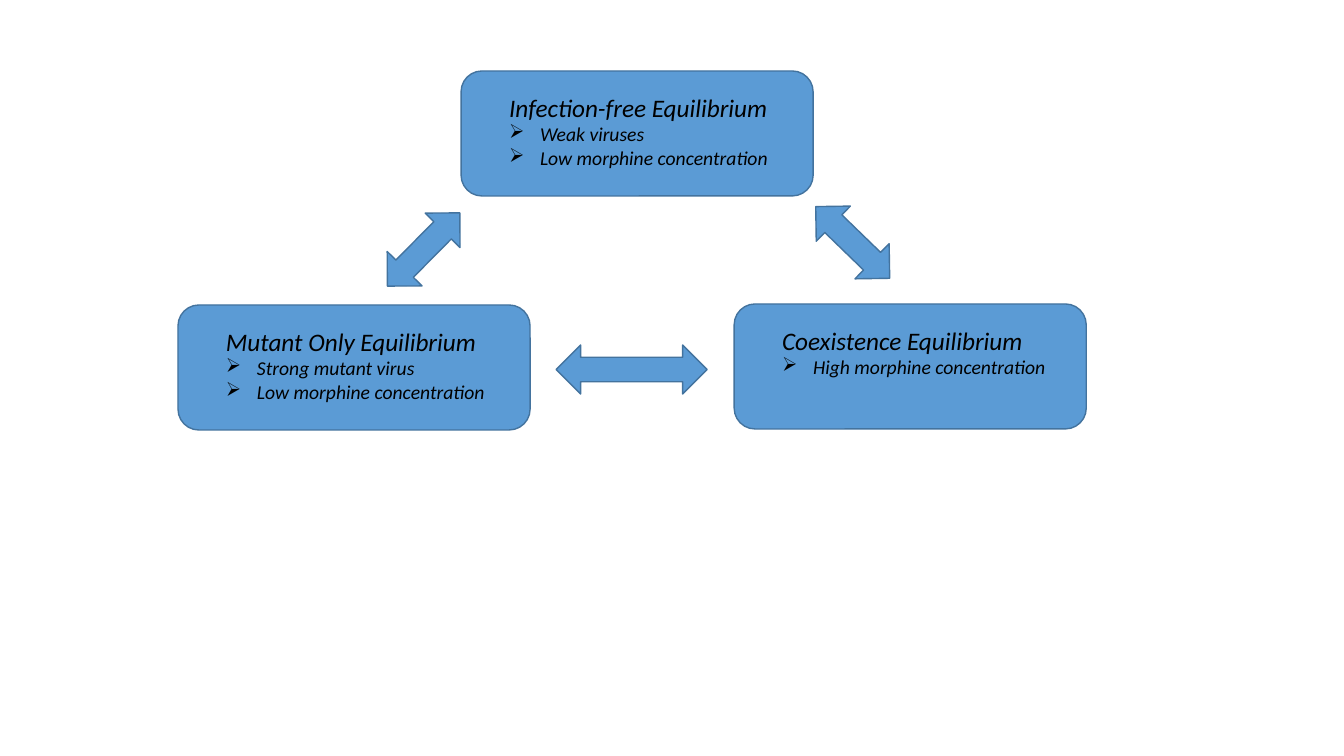
from pptx import Presentation, util as u
from pptx.dml.color import RGBColor
from pptx.enum import shapes, text
from pptx.oxml.ns import qn
from lxml import etree

EQUILIBRIA = [
    ("Infection-free Equilibrium", ["Weak viruses", "Low morphine concentration"], 461, 71),
    ("Mutant Only Equilibrium", ["Strong mutant virus", "Low morphine concentration"], 178, 305),
    ("Coexistence Equilibrium", ["High morphine concentration"], 734, 304),
]
TRANSITIONS = [(556, 345, 151, 0), (801, 218, 103, 44.1), (372, 225, 103, 314.7)]
BOX_W, BOX_H, ARROW_H = 352, 125, 49
LABEL_DX, LABEL_DY, LABEL_W = 38, 16, 305
LABEL_BASE_H, CONDITION_H, INDENT = 41, 24, 31
BLUE, OUTLINE, BLACK = "5B9BD5", "43739E", "000000"


def px(length):
    return u.Emu(round(length * 914400 / 100.8))


def color(hex_code):
    return RGBColor.from_string(hex_code)


def add_blue_shape(kind, left, top, width, height, angle=0):
    shape = slide.shapes.add_shape(kind, px(left), px(top), px(width), px(height))
    shape.rotation = angle
    shape.shadow.inherit = False
    shape.fill.solid()
    shape.fill.fore_color.rgb = color(BLUE)
    shape.line.color.rgb = color(OUTLINE)
    shape.line.width = u.Pt(1)


def add_text(paragraph, words, size):
    run = paragraph.add_run()
    run.text = words
    run.font.name = "Calibri"
    run.font.size = u.Pt(size)
    run.font.italic = True
    run.font.color.rgb = color(BLACK)


def add_bullet(paragraph):
    properties = paragraph._p.get_or_add_pPr()
    properties.set("marL", str(px(INDENT)))
    properties.set("indent", str(-px(INDENT)))
    etree.SubElement(properties, qn("a:buChar")).set("char", "➢")


def add_equilibrium(name, conditions, left, top):
    add_blue_shape(shapes.MSO_SHAPE.ROUNDED_RECTANGLE, left, top, BOX_W, BOX_H)
    label_h = LABEL_BASE_H + CONDITION_H * len(conditions)
    label = slide.shapes.add_textbox(
        px(left + LABEL_DX), px(top + LABEL_DY), px(LABEL_W), px(label_h))
    frame = label.text_frame
    frame.word_wrap = True
    frame.auto_size = text.MSO_AUTO_SIZE.SHAPE_TO_FIT_TEXT
    add_text(frame.paragraphs[0], name, 18)
    for condition in conditions:
        paragraph = frame.add_paragraph()
        add_bullet(paragraph)
        add_text(paragraph, condition, 14)


deck = Presentation()
deck.slide_width, deck.slide_height = u.Inches(13.33), u.Inches(7.5)
slide = deck.slides.add_slide(deck.slide_layouts[6])
for equilibrium in EQUILIBRIA:
    add_equilibrium(*equilibrium)
for left, top, width, angle in TRANSITIONS:
    add_blue_shape(shapes.MSO_SHAPE.LEFT_RIGHT_ARROW, left, top, width, ARROW_H, angle)
deck.save("out.pptx")
